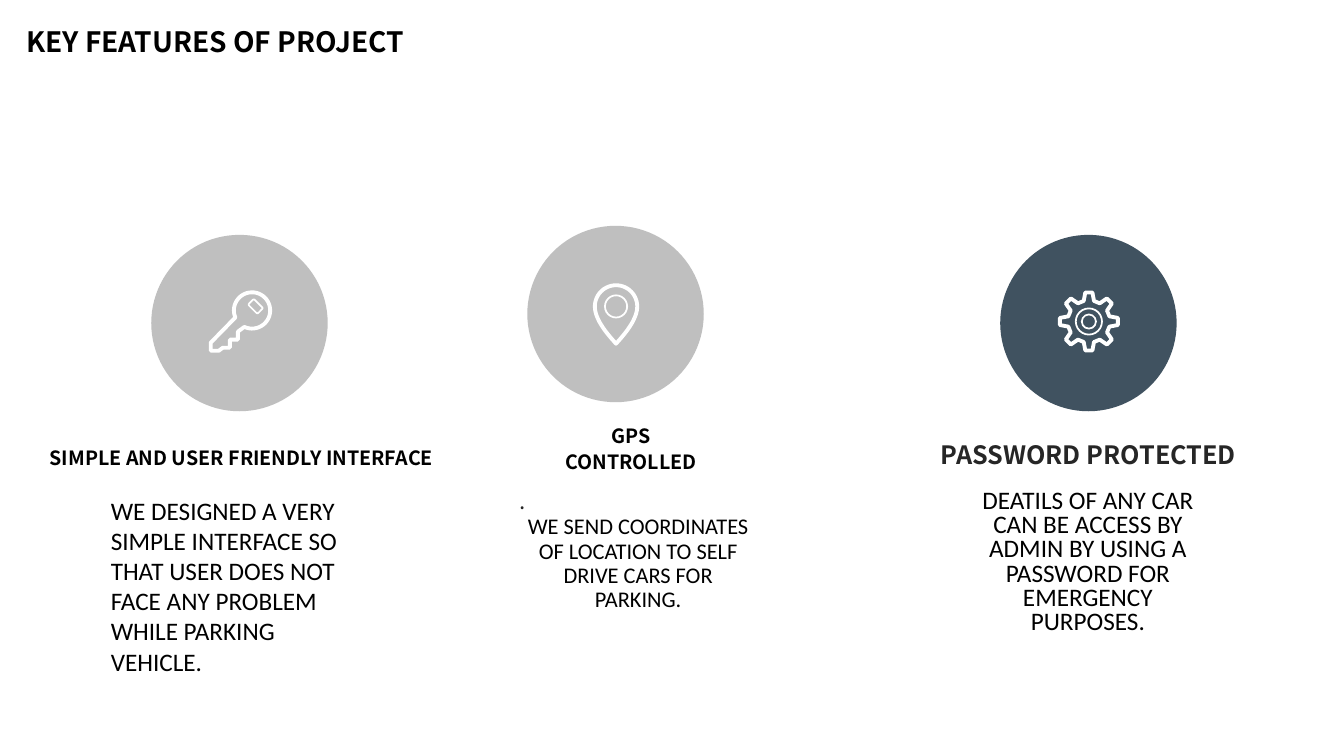
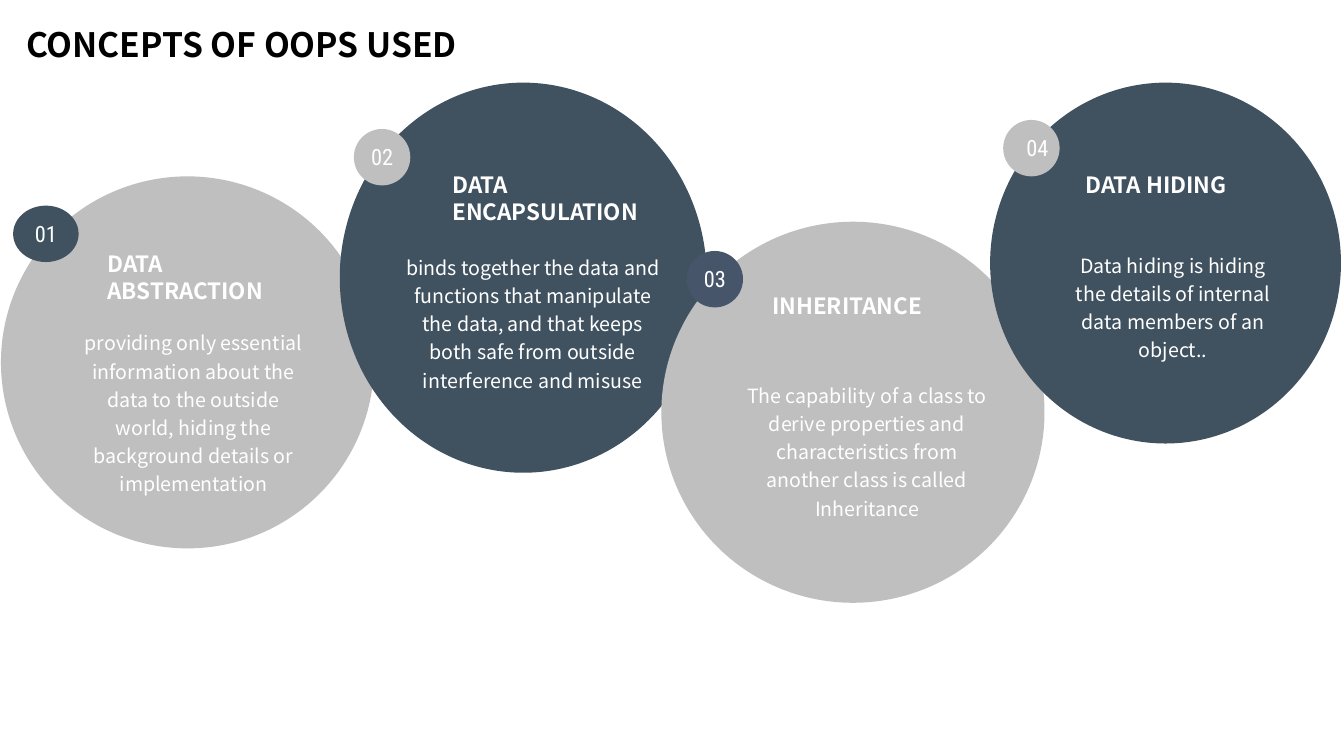
from dataclasses import dataclass, field
from math import cos, radians, sin
from typing import Any, NamedTuple

from pptx import Presentation
from pptx.dml.color import RGBColor
from pptx.enum.shapes import MSO_SHAPE as Preset
from pptx.enum.text import MSO_AUTO_SIZE as AutoSize, PP_ALIGN as Align
from pptx.slide import Slide
from pptx.util import Inches, Pt


class Frame(NamedTuple):
    left: float
    top: float
    width: float
    height: float


Point = tuple[float, float]


@dataclass(frozen=True)
class Theme:
    """Colours, fonts and type sizes shared by the slides."""
    black: str = "000000"
    ink: str = "262626"
    white: str = "FFFFFF"
    silver: str = "BFBFBF"
    slate: str = "405260"
    indigo: str = "46556A"
    heading_font: str = "Noto Sans CJK SC"
    body_font: str = "Calibri"
    badge_font: str = "Roboto Condensed"
    small: int = 14
    medium: int = 16
    large: int = 18
    title: int = 20
    title_large: int = 24
    thick: float = 2.75
    thin: float = 1.25


THEME = Theme()


@dataclass(frozen=True)
class TextStyle:
    size: int
    font: str = THEME.heading_font
    color: str = THEME.black
    bold: bool = False
    inset: bool = True
    wrap: bool = True
    para: dict[str, Any] = field(default_factory=dict)


# Text styles
def feature_heading(size: int, color: str, wrap: bool = True) -> TextStyle:
    return TextStyle(size, color=color, bold=True, inset=False, wrap=wrap, para={
        "alignment": Align.CENTER, "line_spacing": Pt(18.6), "space_after": Pt(16)})


TIGHT = {"alignment": Align.CENTER, "line_spacing": Pt(17.4)}
HEADING = feature_heading(THEME.small, THEME.black)
HEADING_LARGE = feature_heading(THEME.large, THEME.ink, wrap=False)
BODY_LEFT = TextStyle(THEME.large, THEME.body_font)
BODY_MEDIUM = TextStyle(THEME.medium, THEME.body_font, inset=False, para=TIGHT)
BODY_LARGE = TextStyle(THEME.large, THEME.body_font, inset=False, para=TIGHT)
DOT = TextStyle(THEME.medium, color=THEME.ink, inset=False, para=TIGHT)
CONCEPT_NAME = TextStyle(THEME.medium, color=THEME.white, bold=True)
CONCEPT_BODY = TextStyle(THEME.small, color=THEME.white, inset=False, para={
    "alignment": Align.CENTER, "line_spacing": 1.2, "space_before": Pt(2.8)})
BADGE = TextStyle(THEME.medium, THEME.badge_font, THEME.white,
                  para={"alignment": Align.CENTER})


@dataclass(frozen=True)
class Feature:
    circle: Frame
    color: str
    heading: str
    heading_frame: Frame
    heading_style: TextStyle
    body: str
    body_frame: Frame
    body_style: TextStyle


@dataclass(frozen=True)
class Concept:
    circle: Frame
    color: str
    badge: Frame
    badge_color: str
    name: str
    name_frame: Frame
    body: str
    body_frame: Frame
    label_shift: float = 0


FEATURES = [
    Feature(Frame(1.5, 2.33, 1.75, 1.75), THEME.silver,
            "SIMPLE AND USER FRIENDLY INTERFACE", Frame(-0.08, 4.4, 4.95, 0.26), HEADING,
            "WE DESIGNED A VERY SIMPLE INTERFACE SO THAT USER DOES NOT FACE ANY "
            "PROBLEM WHILE PARKING VEHICLE.", Frame(1, 4.86, 2.51, 1.92), BODY_LEFT),
    Feature(Frame(5.23, 2.24, 1.75, 1.75), THEME.silver,
            "GPS CONTROLLED", Frame(5.43, 4.18, 1.66, 0.52), HEADING,
            "WE SEND COORDINATES OF LOCATION TO SELF DRIVE CARS FOR PARKING.",
            Frame(5.23, 5.11, 2.2, 0.97), BODY_MEDIUM),
    Feature(Frame(9.92, 2.33, 1.75, 1.75), THEME.slate,
            "PASSWORD PROTECTED", Frame(9.27, 4.4, 3.05, 0.26), HEADING_LARGE,
            "DEATILS OF ANY CAR CAN BE ACCESS BY ADMIN BY USING A PASSWORD FOR "
            "EMERGENCY PURPOSES.", Frame(9.69, 4.86, 2.2, 1.46), BODY_LARGE),
]

CONCEPTS = [
    Concept(Frame(0.01, 1.75, 3.7, 3.69), THEME.silver,
            Frame(0.13, 2.04, 0.65, 0.56), THEME.slate,
            "DATA ABSTRACTION", Frame(0.97, 2.43, 1.9, 0.64),
            "providing only essential information about the data to the outside "
            "world, hiding the background details or implementation",
            Frame(0.78, 3.24, 2.28, 1.7)),
    Concept(Frame(3.37, 0.82, 3.64, 3.87), THEME.slate,
            Frame(3.51, 1.28, 0.56, 0.56), THEME.silver,
            "DATA ENCAPSULATION", Frame(4.39, 1.65, 2.17, 0.64),
            "binds together the data and functions that manipulate the data, and "
            "that keeps both safe from outside interference and misuse",
            Frame(4.01, 2.49, 2.55, 1.7)),
    Concept(Frame(6.56, 2.2, 3.8, 3.78), THEME.silver,
            Frame(6.81, 2.49, 0.56, 0.56), THEME.indigo,
            "INHERITANCE", Frame(7.56, 2.85, 1.93, 0.37),
            "The capability of a class to derive properties and characteristics "
            "from another class is called Inheritance", Frame(7.38, 3.76, 2.44, 1.41)),
    Concept(Frame(9.82, 0.82, 3.48, 3.58), THEME.slate,
            Frame(9.95, 1.19, 0.56, 0.56), THEME.silver,
            "DATA HIDING", Frame(10.67, 1.65, 1.92, 0.37),
            "Data hiding is hiding the details of internal data members of an object..",
            Frame(10.58, 2.47, 2.11, 1.13), label_shift=0.06),
]


# Drawing helpers
def place(frame: Frame) -> list[int]:
    return [Inches(length) for length in frame]


def add_text(page: Slide, frame: Frame, text: str, style: TextStyle) -> None:
    text_frame = page.shapes.add_textbox(*place(frame)).text_frame
    text_frame.word_wrap = style.wrap
    text_frame.auto_size = AutoSize.SHAPE_TO_FIT_TEXT
    if not style.inset:
        for side in ("left", "top", "right", "bottom"):
            setattr(text_frame, f"margin_{side}", 0)
    para = text_frame.paragraphs[0]
    for name, value in style.para.items():
        setattr(para, name, value)
    span = para.add_run()
    span.text = text
    font = {"name": style.font, "size": Pt(style.size), "bold": style.bold}
    for name, value in font.items():
        setattr(span.font, name, value)
    span.font.color.rgb = RGBColor.from_string(style.color)


def add_disc(page: Slide, frame: Frame, color: str) -> None:
    disc = page.shapes.add_shape(Preset.OVAL, *place(frame))
    disc.shadow.inherit = False
    disc.fill.solid()
    disc.fill.fore_color.rgb = RGBColor.from_string(color)
    disc.line.fill.background()


def style_stroke(shape: Any, weight: float) -> None:
    shape.shadow.inherit = False
    shape.fill.background()
    shape.line.color.rgb = RGBColor.from_string(THEME.white)
    shape.line.width = Pt(weight)


def add_ring(page: Slide, center: Point, radius: float) -> None:
    frame = Frame(center[0] - radius, center[1] - radius, 2 * radius, 2 * radius)
    style_stroke(page.shapes.add_shape(Preset.OVAL, *place(frame)), THEME.thin)


def add_outline(page: Slide, points: list[Point]) -> None:
    corners = [(Inches(x), Inches(y)) for x, y in points]
    builder = page.shapes.build_freeform(*corners[0])
    builder.add_line_segments(corners[1:], close=True)
    style_stroke(builder.convert_to_shape(), THEME.thick)


def polar(center: Point, radius: float, degrees: float) -> Point:
    angle = radians(degrees)
    return center[0] + radius * cos(angle), center[1] + radius * sin(angle)


def arc(center: Point, radius: float, start: float, end: float, steps: int = 40) -> list[Point]:
    return [polar(center, radius, start + (end - start) * step / steps)
            for step in range(steps + 1)]


def curve(controls: list[Point], steps: int = 20) -> list[Point]:
    """Sample a cubic Bezier curve."""
    points = []
    for step in range(steps + 1):
        t = step / steps
        weights = ((1 - t) ** 3, 3 * t * (1 - t) ** 2, 3 * t * t * (1 - t), t ** 3)
        points.append((sum(w * x for w, (x, _) in zip(weights, controls)),
                       sum(w * y for w, (_, y) in zip(weights, controls))))
    return points


# Icons
def add_key(page: Slide) -> None:
    teeth = [(2.09, 3.4), (2.09, 3.48), (2.17, 3.48), (2.21, 3.45), (2.28, 3.45),
             (2.28, 3.37), (2.36, 3.37), (2.36, 3.29)]
    add_outline(page, arc((2.5, 3.08), 0.18, 115, -203) + teeth)
    slot = page.shapes.add_shape(Preset.ROUNDED_RECTANGLE, *place(Frame(2.47, 3, 0.13, 0.08)))
    slot.rotation = 45
    style_stroke(slot, THEME.thin)


def add_pin(page: Slide) -> None:
    center = x, y = 6.11, 3.04
    radius = 0.21
    right = curve([(x + radius, y), (x + radius, y + 0.13), (x + 0.09, y + 0.27), (x, y + 0.37)])
    left = [(2 * x - px, py) for px, py in reversed(right)]
    add_outline(page, arc(center, radius, 180, 360) + right[1:] + left[1:-1])
    add_ring(page, center, 0.11)


def add_gear(page: Slide) -> None:
    center = 10.8, 3.19
    tooth = [(0.21, -14), (0.29, -7), (0.29, 7), (0.21, 14)]
    add_outline(page, [polar(center, radius, turn + offset)
                       for turn in range(0, 360, 45) for radius, offset in tooth])
    for radius in (0.13, 0.07):
        add_ring(page, center, radius)


# Slides
def add_page(deck: Any, title: str, size: int) -> Slide:
    page = deck.slides.add_slide(deck.slide_layouts[6])
    add_text(page, Frame(0.16, 0.19, 5.18, 0.5), title, TextStyle(size, bold=True))
    return page


def build_features(deck: Any) -> None:
    page = add_page(deck, "KEY FEATURES OF PROJECT", THEME.title)
    for feature, add_icon in zip(FEATURES, (add_key, add_pin, add_gear)):
        add_disc(page, feature.circle, feature.color)
        add_icon(page)
        add_text(page, feature.heading_frame, feature.heading, feature.heading_style)
        add_text(page, feature.body_frame, feature.body, feature.body_style)
    add_text(page, Frame(4.08, 4.86, 2.2, 0.24), ".", DOT)


def build_concepts(deck: Any) -> None:
    page = add_page(deck, "CONCEPTS OF OOPS USED", THEME.title_large)
    label_width, label_height = 0.57, 0.37
    for number, concept in enumerate(CONCEPTS, start=1):
        badge = concept.badge
        add_disc(page, concept.circle, concept.color)
        add_disc(page, badge, concept.badge_color)
        label = Frame(badge.left + (badge.width - label_width) / 2 + concept.label_shift,
                      badge.top + (badge.height - label_height) / 2,
                      label_width, label_height)
        add_text(page, label, f"{number:02}", BADGE)
        add_text(page, concept.name_frame, concept.name, CONCEPT_NAME)
        add_text(page, concept.body_frame, concept.body, CONCEPT_BODY)


def main() -> None:
    deck = Presentation()
    deck.slide_width, deck.slide_height = Inches(13.33), Inches(7.5)
    build_features(deck)
    build_concepts(deck)
    deck.save("out.pptx")


if __name__ == "__main__":
    main()
